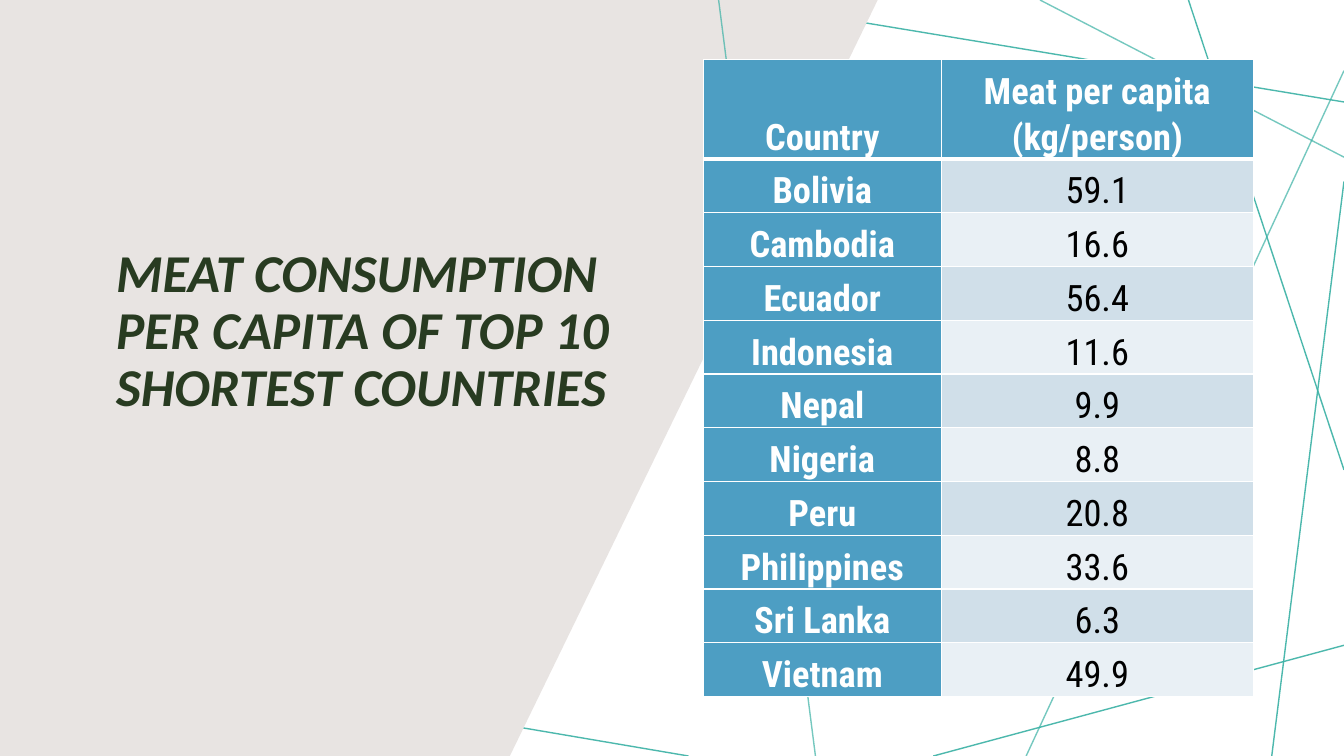
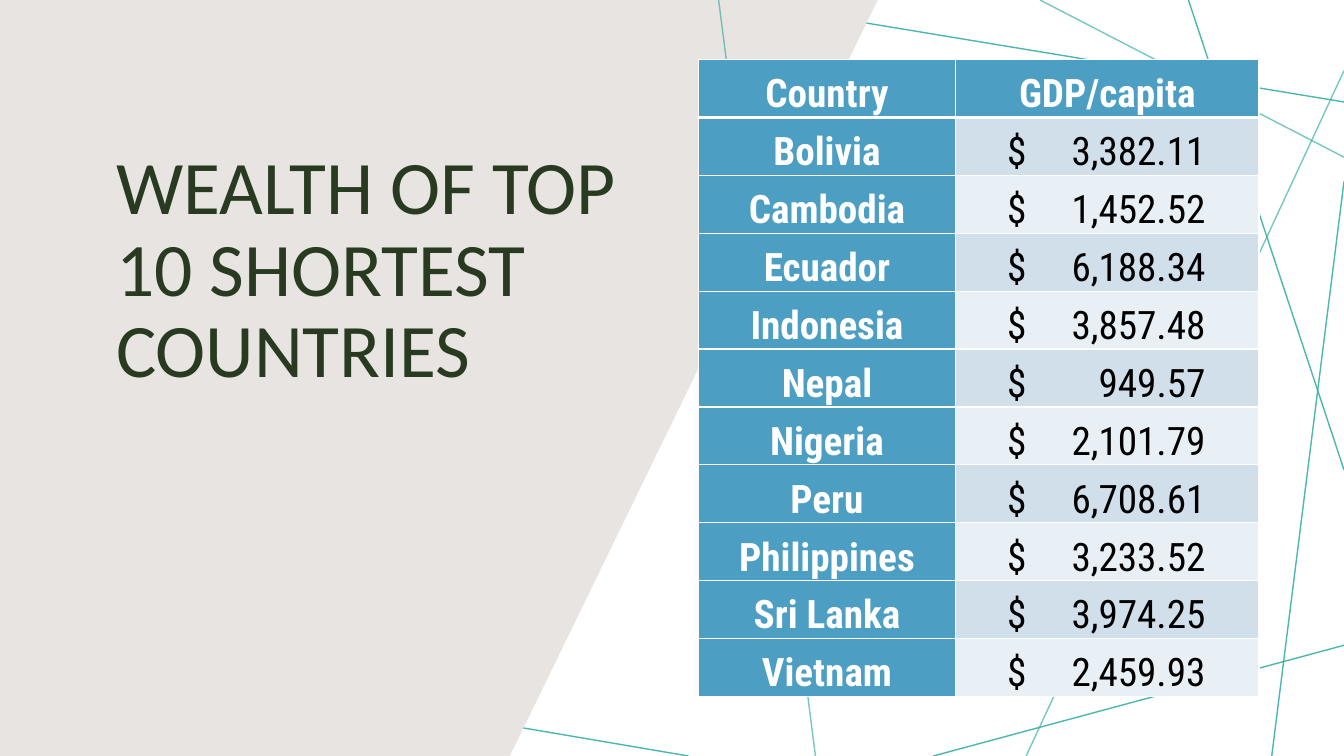
from dataclasses import dataclass

from lxml import etree
from pptx import Presentation
from pptx import util as u
from pptx.dml.color import RGBColor
from pptx.enum import shapes, text
from pptx.oxml.ns import qn


@dataclass(frozen=True)
class Theme:
    white: str = "FFFFFF"
    ink: str = "000000"
    title: str = "283B21"
    panel: str = "E8E4E2"
    line: str = "3BB1A5"
    head: str = "4D9EC3"
    bands: tuple = ("D0DFE9", "E9F0F5")
    title_font: str = "Calibri"
    table_font: str = "Roboto Condensed"
    meat_title_size: int = 38
    wealth_title_size: int = 54
    meat_table_size: int = 26
    wealth_table_size: int = 28


THEME = Theme()
WIDTH, HEIGHT = 33.87, 19.05
TOP, TABLE_HEIGHT = 1.5, 16.05
FIRST_DECOR_ID = 100

# Each line: start x, start y, end x, end y in centimetres
BACK_LINES = [
    (17.35, HEIGHT, -0.13, 16.08),
    (WIDTH, 16.26, 23.52, HEIGHT),
    (WIDTH, 4.57, 32.05, HEIGHT),
    (WIDTH, 11.84, 29.95, 0),
    (WIDTH, 2.57, 18.14, -0.03),
]
FRONT_LINES = [
    (20.55, HEIGHT, 18.11, 0),
    (25.86, HEIGHT, WIDTH, 1.78),
    (26.21, 0, WIDTH, 3.96),
]
PANEL_CORNERS = [(0, 0), (22.12, 0), (12.85, HEIGHT), (0, HEIGHT)]

COUNTRIES = ["Bolivia", "Cambodia", "Ecuador", "Indonesia", "Nepal",
             "Nigeria", "Peru", "Philippines", "Sri Lanka", "Vietnam"]
MEAT = ["59.1", "16.6", "56.4", "11.6", "9.9",
        "8.8", "20.8", "33.6", "6.3", "49.9"]
GDP = ["3,382.11", "1,452.52", "6,188.34", "3,857.48", "949.57",
       "2,101.79", "6,708.61", "3,233.52", "3,974.25", "2,459.93"]


def set_all(target, values):
    for name, value in values.items():
        setattr(target, name, value)


def paint(fill, color):
    fill.solid()
    fill.fore_color.rgb = RGBColor.from_string(color)


def style_font(font, color, **values):
    set_all(font, values)
    font.color.rgb = RGBColor.from_string(color)


def add_line(page, ends, opacity):
    line = page.shapes.add_connector(
        shapes.MSO_CONNECTOR.STRAIGHT, *[u.Cm(end) for end in ends])
    line.line.color.rgb = RGBColor.from_string(THEME.line)
    line.line.width = u.Pt(1)
    color = line._element.xpath(".//a:ln//a:srgbClr")[0]
    etree.SubElement(color, qn("a:alpha"), val=str(opacity * 1000))
    etree.SubElement(line._element.spPr, qn("a:effectLst"))
    return line


def add_panel(page):
    corners = [(u.Cm(x), u.Cm(y)) for x, y in PANEL_CORNERS]
    outline = page.shapes.build_freeform(*corners[0])
    outline.add_line_segments(corners[1:], close=True)
    panel = outline.convert_to_shape()
    paint(panel.fill, THEME.panel)
    panel.line.fill.background()
    panel.shadow.inherit = False
    return panel


def move_decor_to_layout(page):
    """Draw the shared backdrop on a page, then hand it to the page's layout."""
    decor = [add_line(page, ends, 91) for ends in BACK_LINES]
    decor.append(add_panel(page))
    decor += [add_line(page, ends, 70) for ends in FRONT_LINES]
    tree = page.slide_layout.shapes._spTree
    for index, shape in enumerate(decor):
        element = shape._element
        element.xpath(".//p:cNvPr")[0].set("id", str(FIRST_DECOR_ID + index))
        tree.insert(2 + index, element)


def set_title(page, wording, size, **emphasis):
    title = page.shapes.title
    set_all(title, dict(left=u.Cm(2.67), top=u.Cm(TOP),
                        width=u.Cm(13.26), height=u.Cm(10.62)))
    frame = title.text_frame
    frame.text = wording
    # One line of space is kept free below the title
    set_all(frame, dict(word_wrap=True, auto_size=text.MSO_AUTO_SIZE.NONE,
                        vertical_anchor=text.MSO_ANCHOR.BOTTOM,
                        margin_bottom=u.Pt(size * 1.08 + 3.6)))
    para = frame.paragraphs[0]
    set_all(para, dict(alignment=text.PP_ALIGN.LEFT, line_spacing=0.9))
    style_font(para.runs[0].font, THEME.title, name=THEME.title_font,
               size=u.Pt(size), **emphasis)


def add_borders(cell, **widths):
    """Give a cell white borders; widths in points by side L, R, T, B."""
    properties = cell._tc.get_or_add_tcPr()
    for index, side in enumerate("LRTB"):
        border = etree.Element(qn(f"a:ln{side}"),
                               w=str(u.Pt(widths.get(side, 1))))
        fill = etree.SubElement(border, qn("a:solidFill"))
        etree.SubElement(fill, qn("a:srgbClr"), val=THEME.white)
        properties.insert(index, border)


def fill_cell(cell, wording, size, inset, fill, is_head):
    paint(cell.fill, fill)
    set_all(cell, dict(margin_left=u.Cm(inset), margin_right=u.Cm(inset),
                       margin_top=0, margin_bottom=0,
                       vertical_anchor=text.MSO_ANCHOR.BOTTOM))
    para = cell.text_frame.paragraphs[0]
    set_all(para, dict(alignment=text.PP_ALIGN.CENTER, line_spacing=1.07))
    span = para.add_run()
    span.text = wording
    style_font(span.font, THEME.white if is_head else THEME.ink,
               name=THEME.table_font, size=u.Pt(size), bold=is_head)


def align_money(cell):
    """Put the currency sign at the left and the amount at a right tab."""
    cell.margin_left = u.Cm(1.3)
    para = cell.text_frame.paragraphs[0]
    para.alignment = text.PP_ALIGN.LEFT
    stops = etree.SubElement(para._p.get_or_add_pPr(), qn("a:tabLst"))
    etree.SubElement(stops, qn("a:tab"), pos=str(u.Cm(5)), algn="r")


def add_country_table(page, heading, values, left, widths, head_height,
                      size, inset):
    rows = [("Country", heading), *zip(COUNTRIES, values)]
    table = page.shapes.add_table(
        len(rows), len(widths), u.Cm(left), u.Cm(TOP),
        u.Cm(sum(widths)), u.Cm(TABLE_HEIGHT)).table
    table.horz_banding = False
    for column, width in zip(table.columns, widths):
        column.width = u.Cm(width)
    body_height = (TABLE_HEIGHT - head_height) / len(values)
    for r, row in enumerate(rows):
        table.rows[r].height = u.Cm(body_height if r else head_height)
        for c, wording in enumerate(row):
            is_head = r == 0 or c == 0
            fill = THEME.head if is_head else THEME.bands[(r - 1) % 2]
            cell = table.cell(r, c)
            fill_cell(cell, wording, size, inset, fill, is_head)
            add_borders(cell, B=3 if r == 0 else 1, T=3 if r == 1 else 1)
    return table


def main():
    deck = Presentation()
    set_all(deck, dict(slide_width=u.Cm(WIDTH), slide_height=u.Cm(HEIGHT)))
    title_only = deck.slide_layouts[5]

    meat = deck.slides.add_slide(title_only)
    move_decor_to_layout(meat)
    set_title(meat, "MEAT CONSUMPTION PER CAPITA OF TOP 10 SHORTEST COUNTRIES",
              THEME.meat_title_size, bold=True, italic=True)
    add_country_table(meat, "Meat per capita (kg/person)", MEAT, left=17.73,
                      widths=(5.99, 7.87), head_height=2.51,
                      size=THEME.meat_table_size, inset=0.46)

    wealth = deck.slides.add_slide(title_only)
    set_title(wealth, "WEALTH OF TOP 10 SHORTEST COUNTRIES",
              THEME.wealth_title_size)
    table = add_country_table(wealth, "GDP/capita",
                              [f"$\t{amount}" for amount in GDP], left=17.6,
                              widths=(6.48, 7.65), head_height=1.46,
                              size=THEME.wealth_table_size, inset=0.48)
    for r in range(1, len(table.rows)):
        align_money(table.cell(r, 1))

    deck.save("out.pptx")


if __name__ == "__main__":
    main()
